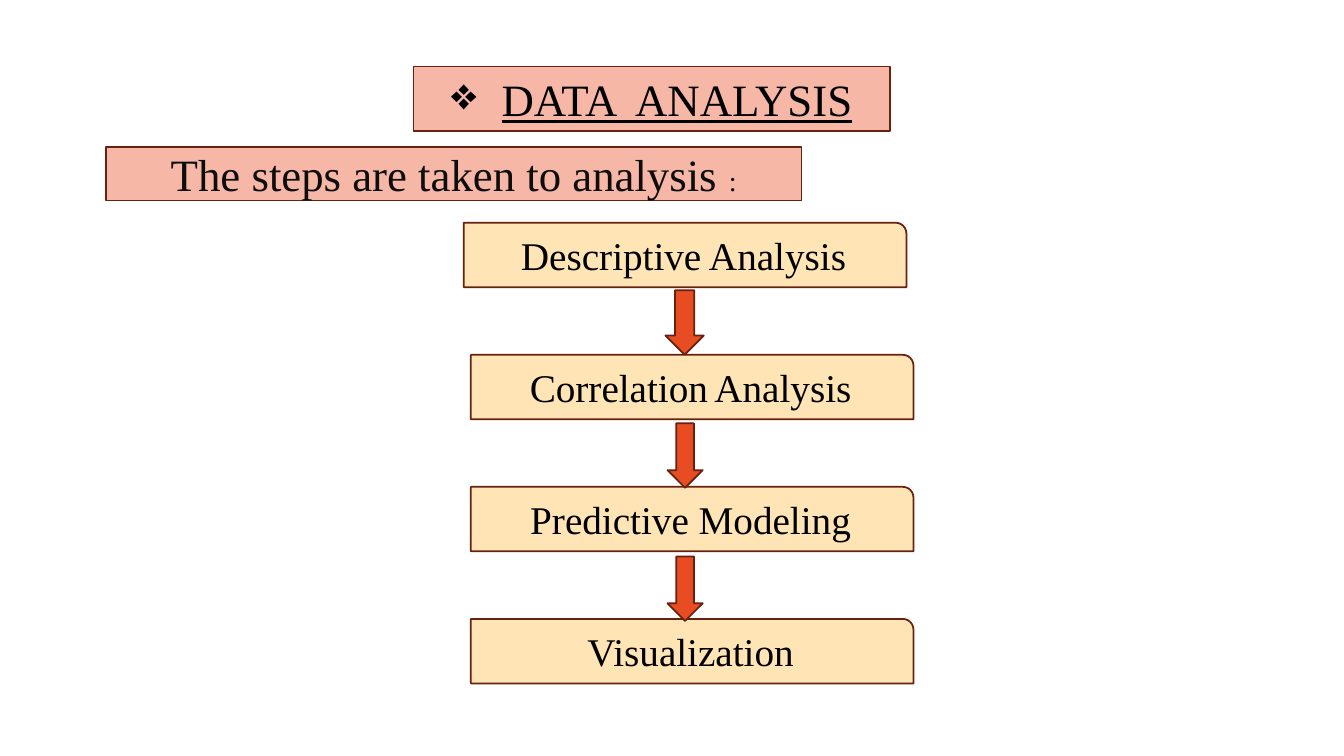
from dataclasses import dataclass

from lxml import etree
from pptx import Presentation
from pptx.dml.color import RGBColor as RGB
from pptx.enum.shapes import MSO_SHAPE as Shape
from pptx.enum.text import MSO_ANCHOR as Anchor, MSO_AUTO_SIZE as AutoSize, PP_ALIGN as Align
from pptx.oxml.ns import qn
from pptx.util import Inches, Pt


@dataclass(frozen=True)
class Theme:
    font: str = "Times New Roman"
    black: RGB = RGB(0x00, 0x00, 0x00)
    ink: RGB = RGB(0x0D, 0x0D, 0x0D)
    heading_fill: RGB = RGB(0xF6, 0xB7, 0xA7)
    step_fill: RGB = RGB(0xFF, 0xE5, 0xB5)
    arrow_fill: RGB = RGB(0xE8, 0x4C, 0x22)
    outline: RGB = RGB(0x66, 0x21, 0x0F)
    outline_width: float = 1.25
    heading_size: int = 32
    step_size: int = 28
    colon_size: int = 20
    gap_size: int = 18


THEME = Theme()

# Content: text as (words, size) spans, boxes as left, top, width, height
TITLE = [("DATA  ANALYSIS", THEME.heading_size)]
TITLE_BOX = (4.1, 0.66, 4.73, 0.64)
BULLET = "❖"
INTRO = [("The steps are taken to analysis ", THEME.heading_size), (":", THEME.colon_size)]
INTRO_BOX = (1.05, 1.46, 6.9, 0.53)
STEPS = [
    (4.6, [("Descriptive Analysis", THEME.step_size)]),
    (4.67, [("Correlation", THEME.step_size), (" ", THEME.gap_size),
            ("Analysis", THEME.step_size)]),
    (4.67, [("Predictive Modeling", THEME.step_size)]),
    (4.67, [("Visualization", THEME.step_size)]),
]
ARROWS = [(6.6, 0.38), (6.62, 0.35), (6.62, 0.35)]  # left, width

STEP_TOP, STEP_PITCH = 2.21, 1.31
STEP_WIDTH, STEP_HEIGHT = 4.39, 0.64
ARROW_TOP, ARROW_PITCH, ARROW_HEIGHT = 2.88, 1.32, 0.64


def paint(shape, fill):
    shape.fill.solid()
    shape.fill.fore_color.rgb = fill
    shape.line.color.rgb = THEME.outline
    shape.line.width = Pt(THEME.outline_width)


def add_block(slide, kind, box, fill):
    shape = slide.shapes.add_shape(kind, *map(Inches, box))
    shape.shadow.inherit = False
    paint(shape, fill)
    return shape


def write(shape, spans, color):
    frame = shape.text_frame
    frame.word_wrap = True
    frame.auto_size = AutoSize.NONE
    frame.vertical_anchor = Anchor.MIDDLE
    para = frame.paragraphs[0]
    para.alignment = Align.CENTER
    para.font.name = THEME.font
    para.font.color.rgb = color
    for words, size in spans:
        span = para.add_run()
        span.text = words
        span.font.size = Pt(size)
    return para


def format_title(title):
    title.left, title.top, title.width, title.height = map(Inches, TITLE_BOX)
    outline = etree.SubElement(title.element.spPr, qn("a:prstGeom"), prst="roundRect")
    etree.SubElement(outline, qn("a:avLst"))
    paint(title, THEME.heading_fill)
    para = write(title, TITLE, THEME.black)
    para.runs[0].font.underline = True

    # Hanging bullet, placed ahead of the paragraph's default font
    props = para._p.get_or_add_pPr()
    props.set("marL", str(Inches(0.5)))
    props.set("indent", str(-Inches(0.5)))
    bullet = etree.Element(qn("a:buChar"), char=BULLET)
    props.find(qn("a:defRPr")).addprevious(bullet)
    # The bullet takes its size and colour from the first run
    para.runs[0].font.name = THEME.font
    para.runs[0].font.color.rgb = THEME.black


def main():
    deck = Presentation()
    deck.slide_width, deck.slide_height = Inches(13.33), Inches(7.5)
    slide = deck.slides.add_slide(deck.slide_layouts[5])

    # Headings
    format_title(slide.shapes.title)
    intro = add_block(slide, Shape.RECTANGLE, INTRO_BOX, THEME.heading_fill)
    write(intro, INTRO, THEME.ink)

    # Steps
    for row, (left, spans) in enumerate(STEPS):
        box = (left, STEP_TOP + row * STEP_PITCH, STEP_WIDTH, STEP_HEIGHT)
        step = add_block(slide, Shape.ROUND_1_RECTANGLE, box, THEME.step_fill)
        write(step, spans, THEME.black)

    # Arrows between the steps
    for row, (left, width) in enumerate(ARROWS):
        box = (left, ARROW_TOP + row * ARROW_PITCH, width, ARROW_HEIGHT)
        add_block(slide, Shape.DOWN_ARROW, box, THEME.arrow_fill)

    deck.save("out.pptx")


if __name__ == "__main__":
    main()
